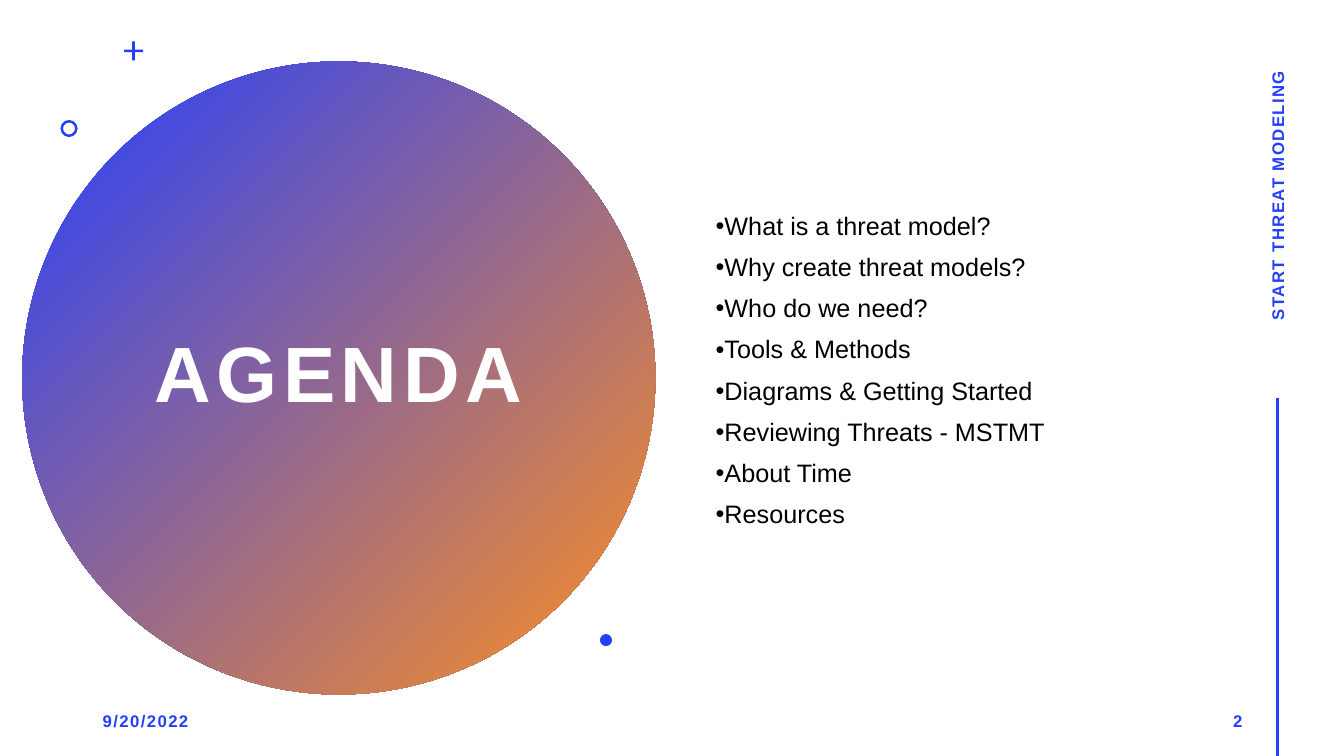
from lxml.etree import SubElement
from pptx import Presentation
from pptx.dml.color import RGBColor
from pptx.enum.shapes import MSO_CONNECTOR, MSO_SHAPE
from pptx.enum.text import MSO_ANCHOR, PP_ALIGN
from pptx.oxml.ns import qn
from pptx.util import Inches, Pt

BLUE, ORANGE, WHITE, BLACK = "243FFF", "FF9022", "FFFFFF", "000000"

presentation = Presentation()
presentation.slide_width = Inches(13.33)
presentation.slide_height = Inches(7.5)
slide = presentation.slides.add_slide(presentation.slide_layouts[6])


def color(target, hex_value):
    """Give a fill, a gradient stop or a font a solid colour."""
    if hasattr(target, "solid"):
        target.solid()
        target.fore_color.rgb = RGBColor.from_string(hex_value)
    else:
        target.color.rgb = RGBColor.from_string(hex_value)


def add_text(box, lines, size, hex_value, align=PP_ALIGN.LEFT, bold=True, spacing=0):
    """Add a vertically centred text box; spacing is the letter spacing in points."""
    text_box = slide.shapes.add_textbox(*map(Inches, box))
    frame = text_box.text_frame
    frame.word_wrap = True
    frame.vertical_anchor = MSO_ANCHOR.MIDDLE
    frame.text = "\n".join(lines)
    for paragraph in frame.paragraphs:
        paragraph.alignment = align
        paragraph.font.name = "Arial"
        paragraph.font.size = Pt(size)
        paragraph.font.bold = bold
        color(paragraph.font, hex_value)
        for run in paragraph.runs:
            run._r.get_or_add_rPr().set("spc", str(spacing * 100))
    return text_box


# Gradient circle with the title
circle = slide.shapes.add_shape(
    MSO_SHAPE.OVAL, Inches(0.22), Inches(0.61), Inches(6.28), Inches(6.28))
circle.shadow.inherit = False
circle.line.fill.background()
circle.fill.gradient()
circle.fill.gradient_angle = 315
for stop, hex_value in zip(circle.fill.gradient_stops, (BLUE, ORANGE)):
    color(stop, hex_value)

title = add_text((1.36, 1.41, 3.99, 4.67), ["AGENDA"], 56, WHITE, PP_ALIGN.CENTER, spacing=4)
title.text_frame.paragraphs[0].line_spacing = 0.9

# Small ornaments: preset, left, top, size, adjustment
ornaments = [
    (MSO_SHAPE.CROSS, 1.23, 0.41, 0.19, 0.43),
    (MSO_SHAPE.DONUT, 0.6, 1.19, 0.17, 0.15),
    (MSO_SHAPE.OVAL, 5.95, 6.29, 0.12, None),
]
for preset, left, top, size, adjustment in ornaments:
    ornament = slide.shapes.add_shape(
        preset, Inches(left), Inches(top), Inches(size), Inches(size))
    ornament.shadow.inherit = False
    ornament.line.fill.background()
    color(ornament.fill, BLUE)
    if adjustment is not None:
        ornament.adjustments[0] = adjustment

# Agenda topics
topics = [
    "What is a threat model?",
    "Why create threat models?",
    "Who do we need?",
    "Tools & Methods",
    "Diagrams & Getting Started",
    "Reviewing Threats - MSTMT",
    "About Time",
    "Resources",
]
agenda = add_text((7, 0.42, 5.12, 6.53), topics, 18, BLACK, bold=False)
for paragraph in agenda.text_frame.paragraphs:
    paragraph.line_spacing = 0.9
    paragraph.space_before = Pt(10)
    properties = paragraph._p.get_or_add_pPr()
    font_defaults = properties.find(qn("a:defRPr"))
    for tag, attributes in (("a:buFont", {"typeface": "Arial"}), ("a:buChar", {"char": "•"})):
        font_defaults.addprevious(SubElement(properties, qn(tag), attributes))

# Date, page number and vertical footer
labels = [
    ((0.92, 6.95, 3, 0.4), "9/20/2022", PP_ALIGN.LEFT, 0),
    ((9.42, 6.95, 3, 0.4), "2", PP_ALIGN.RIGHT, 0),
    ((10.73, 1.74, 3.88, 0.4), "START THREAT MODELING", PP_ALIGN.CENTER, 270),
]
for box, text, align, rotation in labels:
    label = add_text(box, [text], 12, BLUE, align, spacing=1)
    label.rotation = rotation
    label.text_frame.paragraphs[0].space_after = Pt(6)

side_line = slide.shapes.add_connector(
    MSO_CONNECTOR.STRAIGHT, Inches(12.67), Inches(3.95), Inches(12.67), Inches(7.5))
side_line.line.width = Pt(2)
color(side_line.line.fill, BLUE)
SubElement(side_line._element.spPr, qn("a:effectLst"))

presentation.save("out.pptx")
